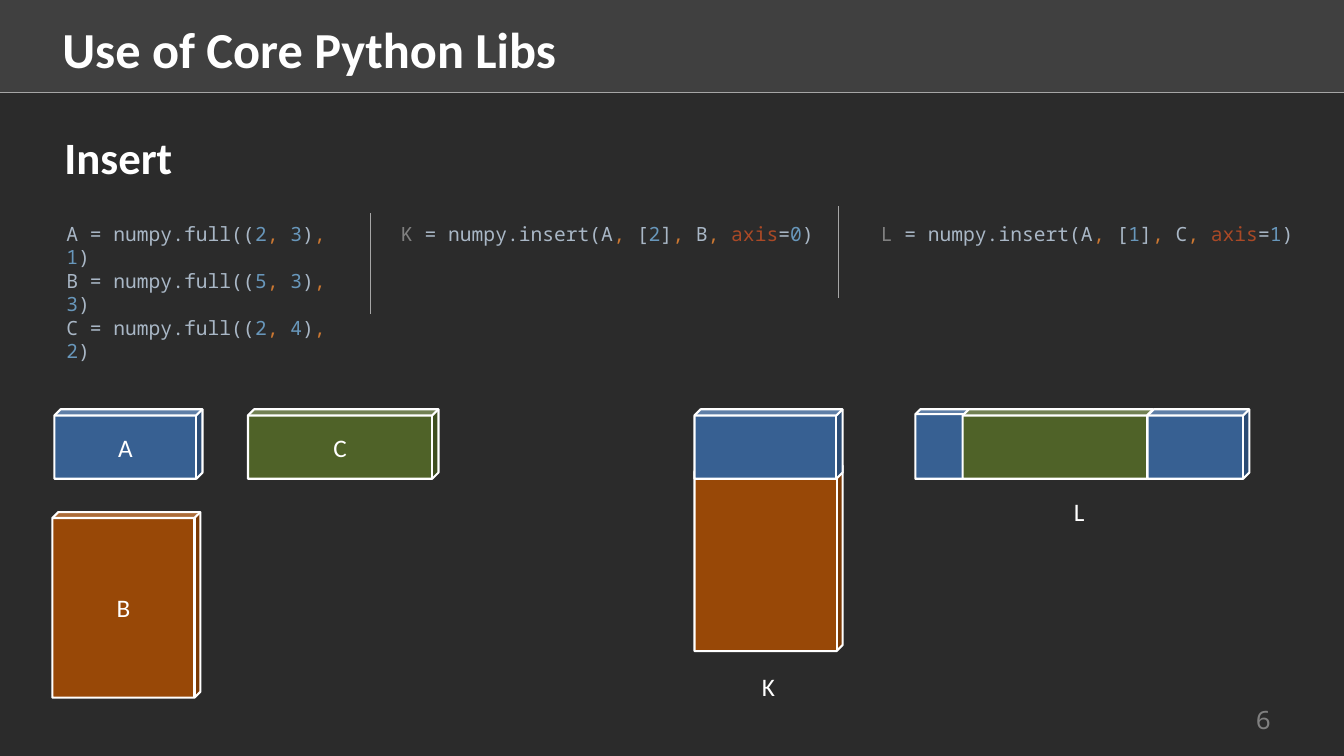
import pptx
import pptx.util
import pptx.dml.color
import pptx.enum.shapes
import pptx.enum.text
import pptx.oxml.ns
import lxml.etree

Pt = pptx.util.Pt
Kind = pptx.enum.shapes.MSO_SHAPE
Align = pptx.enum.text.PP_ALIGN
Anchor = pptx.enum.text.MSO_ANCHOR

SANS, MONO = "Calibri", "Noto Sans Mono"
WHITE, DARK, GREY, RULE = "FFFFFF", "2B2B2B", "808080", "A6A6A6"
BLUE, GREEN, BROWN = "376092", "4F6228", "984807"

# Code colours by token; digits and plain code are handled apart
CODE, DIGIT = "A9B7C6", "6897BB"
TOKENS = {", ": "CC7832", "axis": "AA4926", "K ": GREY, "L ": GREY}

# Block sizes: A and C share a height, A and B share a width
WIDE, LONG, LOW, TALL = 105.8, 136.1, 49.7, 132.5
TOP = 292.3


def rgb(code):
    return pptx.dml.color.RGBColor.from_string(code)


def style(para, size, font, color=None, bold=False, align=Align.LEFT):
    para.alignment = align
    para.font.size = Pt(size)
    para.font.name = font
    para.font.bold = bold
    if color:
        para.font.color.rgb = rgb(color)


def shape(shapes, kind, box, fill):
    item = shapes.add_shape(kind, *map(Pt, box))
    item.shadow.inherit = False
    item.fill.solid()
    item.fill.fore_color.rgb = rgb(fill)
    item.line.fill.background()
    return item


def rule(slide, x1, y1, x2, y2, width):
    line = slide.shapes.add_connector(
        pptx.enum.shapes.MSO_CONNECTOR.STRAIGHT, Pt(x1), Pt(y1), Pt(x2), Pt(y2))
    line.line.color.rgb = rgb(RULE)
    line.line.width = Pt(width)
    props = line._element.spPr
    lxml.etree.SubElement(props, pptx.oxml.ns.qn("a:effectLst"))


def frame(slide, box):
    text = slide.shapes.add_textbox(*map(Pt, box)).text_frame
    text.word_wrap = True
    return text


def label(slide, box, words, size, **look):
    text = frame(slide, box)
    para = text.paragraphs[0]
    para.text = words
    look = {"font": SANS, "color": WHITE, **look}
    style(para, size, **look)
    return text


def code(slide, box, *lines):
    """Write code lines whose tokens are parted by bars."""
    text = frame(slide, box)
    for row, line in enumerate(lines):
        para = text.add_paragraph() if row else text.paragraphs[0]
        style(para, 14, MONO)
        for token in line.split("|"):
            run = para.add_run()
            run.text = token
            color = DIGIT if token.isdigit() else TOKENS.get(token, CODE)
            run.font.color.rgb = rgb(color)


def cube(shapes, left, top, width, height, fill, name=""):
    block = shape(shapes, Kind.CUBE, (left, top, width, height), fill)
    block.adjustments[0] = 0.04 if height == TALL else 0.09
    block.line.color.rgb = rgb(WHITE)
    block.line.width = Pt(1.5)
    if name:
        text = block.text_frame
        text.vertical_anchor = Anchor.MIDDLE
        text.paragraphs[0].text = name
        style(text.paragraphs[0], 18, SANS, WHITE, align=Align.CENTER)


def main():
    deck = pptx.Presentation()
    deck.slide_width, deck.slide_height = Pt(960), Pt(540)
    slide = deck.slides.add_slide(deck.slide_layouts[6])
    shapes = slide.shapes

    # Backdrop, header and page number
    shape(shapes, Kind.RECTANGLE, (0, 66.3, 960, 473.7), DARK)
    shape(shapes, Kind.RECTANGLE, (0, 0, 960, 66.3), "404040")
    rule(slide, 0, 66.3, 960, 66.3, 1)
    page = label(slide, (871.2, 502.6, 62.6, 22.3), "6", 18,
                 font=MONO, color=GREY, align=Align.CENTER)
    page.vertical_anchor = Anchor.MIDDLE

    # Headings
    label(slide, (37.5, 9.4, 856, 51), "Use of Core Python Libs", 36, bold=True)
    label(slide, (39, 89.3, 162.7, 46), "Insert", 32, bold=True)

    # Code columns and their dividers
    code(slide, (40.3, 154.8, 210.2, 58.3),
         "A = numpy.full((|2|, |3|)|, |1|)",
         "B = numpy.full((|5|, |3|)|, |3|)",
         "C = numpy.full((|2|, |4|)|, |2|)")
    code(slide, (279.4, 154.8, 337.7, 41),
         "K |= numpy.insert(A|, |[|2|]|, |B|, |axis|=|0|)")
    code(slide, (622.1, 154.8, 311.8, 24.5),
         "L |= numpy.insert(A|, |[|1|]|, |C|, |axis|=|1|)")
    rule(slide, 264.5, 152.5, 264.5, 224.5, 0.75)
    rule(slide, 598.8, 147.2, 598.8, 213, 0.75)

    # Source blocks
    cube(shapes, 37.4, 365.8, WIDE, TALL, BROWN, "B")
    cube(shapes, 177.1, TOP, LONG, LOW, GREEN, "C")
    cube(shapes, 38.9, TOP, WIDE, LOW, BLUE, "A")

    # K: A stacked on B
    stack = shapes.add_group_shape().shapes
    cube(stack, 496.1, 332.6, WIDE, TALL, BROWN)
    cube(stack, 496.1, TOP, WIDE, LOW, BLUE)
    label(slide, (496.1, 476, WIDE, 29), "K", 18, align=Align.CENTER)

    # L: C set inside A
    strip = shapes.add_group_shape().shapes
    for left, width, fill in ((653.8, 39.6, BLUE), (687.6, LONG, GREEN),
                              (819.7, 72.7, BLUE)):
        cube(strip, left, TOP, width, LOW, fill)
    label(slide, (653.8, 350.8, 234, 29), "L", 18, align=Align.CENTER)

    deck.save("out.pptx")


if __name__ == "__main__":
    main()
